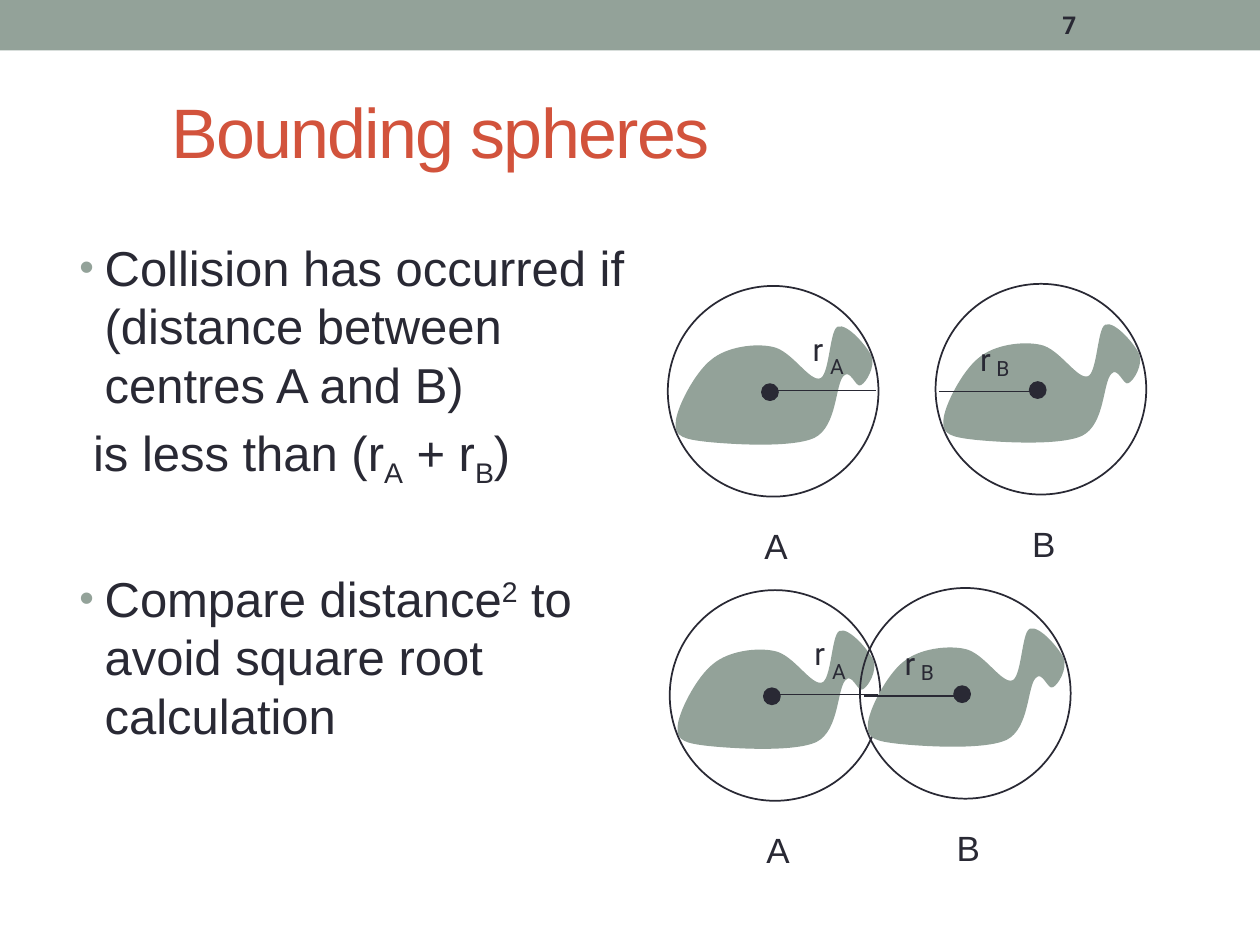
from lxml.etree import SubElement
from pptx import Presentation
from pptx.dml.color import RGBColor
from pptx.enum.shapes import MSO_CONNECTOR as Connector, MSO_SHAPE as Preset
from pptx.enum.text import MSO_ANCHOR as Anchor, MSO_AUTO_SIZE as AutoSize, PP_ALIGN as Align
from pptx.oxml.ns import qn
from pptx.util import Pt

# Content
PAGE_NUMBER = "7"
TITLE = "Bounding spheres"
# Each item: bulleted, first-line indent, space before, (text, baseline %) runs
POINTS = [
    (True, -14.4, 0, [("Collision has occurred if (distance between centres A and B)", 0)]),
    (False, -6.6, 10.1, [("is less than (r", 0), ("A", -25), (" + r", 0), ("B", -25), (")", 0)]),
    (True, -14.4, 45.6, [("Compare distance", 0), ("2", 30),
                         (" to avoid square root calculation", 0)]),
]
# Sphere name and the left, top of its circle: apart, then overlapping
SPHERES = [("A", 381.6, 163.4), ("B", 534.6, 162.2), ("A", 382.7, 337.2), ("B", 491.4, 336)]

# Offsets from the circle's corner: radius line (x1, x2, y), "r" and its subscript
RADII = {
    "A": {"line": (60.5, 118.8, 59.6), "r": (75.6, 21.6), "sub": (85.7, 35.3)},
    "B": {"line": (2.2, 60.5, 61.7), "r": (18.4, 28.5), "sub": (27.7, 37.4)},
}
DIAMETER, DOT, DOT_AT = 120.4, 9.4, (53.7, 56)
LABEL_BOX = (43.9, 132.6, 36, 31)

# Outline of the enclosed object: start, then (control, control, end) curves
OBJECT_START = (5, 78.5)
OBJECT_CURVES = [
    ((5, 70.6), (15.8, 49.7), (25.2, 42.5)),
    ((33.8, 35.3), (49.7, 33.1), (59.8, 35.3)),
    ((70.6, 37.4), (80.6, 55.4), (87.1, 53.3)),
    ((92.9, 51.8), (92.9, 25.9), (97.2, 23.8)),
    ((102.2, 21.6), (113.8, 35.3), (115.9, 40.3)),
    ((118.1, 46.1), (113, 54.7), (110.2, 56.2)),
    ((108, 58.3), (104.4, 46.1), (100.1, 51.1)),
    ((95, 56.2), (96.5, 79.9), (83.5, 86.4)),
    ((70.6, 92.2), (36, 90), (22.3, 88.6)),
    ((9.4, 87.1), (4.3, 85.7), (5, 78.5)),
]

INK, SAGE, RED = (RGBColor.from_string(c) for c in ("292934", "93A299", "D2533C"))
THEME = {
    "title": {"name": "Arial", "size": Pt(40), "color": RED},
    "body": {"name": "Arial", "size": Pt(28), "color": INK},
    "page": {"name": "Roboto", "size": Pt(14), "bold": True, "color": INK},
    "label": {"name": "Arial", "size": Pt(20), "color": INK},
    "r": {"name": "Roboto", "size": Pt(18), "color": INK},
    "sub": {"name": "Roboto", "size": Pt(12), "color": INK},
}


def set_all(target, values):
    for name, value in values.items():
        setattr(target, name, value)


def write(paragraph, text, style):
    run = paragraph.add_run()
    run.text = text
    for name, value in THEME[style].items():
        if name == "color":
            run.font.color.rgb = value
        else:
            setattr(run.font, name, value)
    return run


def place(shape, left, top, width, height):
    set_all(shape, {"left": Pt(left), "top": Pt(top), "width": Pt(width), "height": Pt(height)})


def add_text(shapes, box, text, style, align=Align.LEFT, anchor=Anchor.TOP):
    frame = shapes.add_textbox(*map(Pt, box)).text_frame
    set_all(frame, {"word_wrap": True, "vertical_anchor": anchor})
    frame.paragraphs[0].alignment = align
    write(frame.paragraphs[0], text, style)


def paint(shape, fill=None, line=None, weight=1):
    shape.shadow.inherit = False
    for part, color in ((shape.fill, fill), (shape.line.fill, line)):
        if color is None:
            part.background()
        else:
            part.solid()
            part.fore_color.rgb = color
    if line is not None:
        shape.line.width = Pt(weight)


def set_bullet(paragraph, bulleted, first_indent):
    props = paragraph._p.get_or_add_pPr()
    props.set("marL", str(Pt(14.4)))
    props.set("indent", str(Pt(first_indent)))
    if bulleted:
        color = SubElement(props, qn("a:buClr"))
        SubElement(color, qn("a:srgbClr"), val=str(SAGE))
        SubElement(props, qn("a:buSzPct"), val="85000")
        SubElement(props, qn("a:buFont"), typeface="Arial")
        SubElement(props, qn("a:buChar"), char="•")
    else:
        SubElement(props, qn("a:buNone"))


def add_object(shapes, at):
    """Draw the object, turning each three segments into one Bézier curve."""
    outline = shapes.build_freeform(*at(*OBJECT_START), scale=1.0)
    outline.add_line_segments([at(*point) for curve in OBJECT_CURVES for point in curve])
    shape = outline.convert_to_shape()
    route = next(shape._element.iter(qn("a:path")))
    segments = route.findall(qn("a:lnTo"))
    for first in range(0, len(segments), 3):
        curve = SubElement(route, qn("a:cubicBezTo"))
        for segment in segments[first:first + 3]:
            curve.append(segment[0])
            route.remove(segment)
    for close in route.findall(qn("a:close")):
        route.remove(close)
    SubElement(route, qn("a:close"))
    paint(shape, SAGE, SAGE)


def add_sphere(slide, name, left, top):
    shapes = slide.shapes.add_group_shape().shapes
    radius = RADII[name]

    def at(x, y):
        return Pt(left + x), Pt(top + y)

    # Name below the circle
    x, y, width, height = LABEL_BOX
    add_text(shapes, (left + x, top + y, width, height), name, "label", Align.CENTER)

    # Object inside its bounding circle
    add_object(shapes, at)
    circle = shapes.add_shape(Preset.OVAL, *at(0, 0), Pt(DIAMETER), Pt(DIAMETER))
    paint(circle, line=INK)
    centre = shapes.add_shape(Preset.OVAL, *at(*DOT_AT), Pt(DOT), Pt(DOT))
    paint(centre, INK, INK, 0.75)

    # Radius and its symbol
    x1, x2, y = radius["line"]
    radius_line = shapes.add_connector(Connector.STRAIGHT, *at(x1, y), *at(x2, y))
    radius_line.line.color.rgb = INK
    radius_line.line.width = Pt(0.75)
    SubElement(radius_line._element.spPr, qn("a:effectLst"))
    for style, text, height in (("r", "r", 29), ("sub", name, 21.6)):
        x, y = radius[style]
        add_text(shapes, (left + x, top + y, 21, height), text, style)


def main():
    deck = Presentation()
    set_all(deck, {"slide_width": Pt(720), "slide_height": Pt(540)})
    slide = deck.slides.add_slide(deck.slide_layouts[1])

    # Top band and page number
    band = slide.shapes.add_shape(Preset.RECTANGLE, 0, 0, Pt(720), Pt(28.8))
    paint(band, SAGE)
    add_text(slide.shapes, (600, 1.4, 84, 26), PAGE_NUMBER, "page", anchor=Anchor.MIDDLE)

    # Title
    title = slide.shapes.title
    place(title, 90.7, 17, 613.4, 115.2)
    set_all(title.text_frame, {"vertical_anchor": Anchor.MIDDLE, "auto_size": AutoSize.NONE})
    heading = title.text_frame.paragraphs[0]
    heading.alignment = Align.LEFT
    write(heading, TITLE, "title")._r.get_or_add_rPr().set("spc", "-100")

    # Points
    body = slide.placeholders[1]
    place(body, 38.2, 132.2, 355, 350.6)
    frame = body.text_frame
    frame.auto_size = AutoSize.NONE
    for index, (bulleted, indent, gap, runs) in enumerate(POINTS):
        paragraph = frame.add_paragraph() if index else frame.paragraphs[0]
        set_bullet(paragraph, bulleted, indent)
        set_all(paragraph, {"line_spacing": Pt(33.4), "space_before": Pt(gap)})
        for text, baseline in runs:
            run = write(paragraph, text, "body")
            if baseline:
                run._r.get_or_add_rPr().set("baseline", str(baseline * 1000))

    # Spheres
    for name, left, top in SPHERES:
        add_sphere(slide, name, left, top)

    deck.save("out.pptx")


if __name__ == "__main__":
    main()
